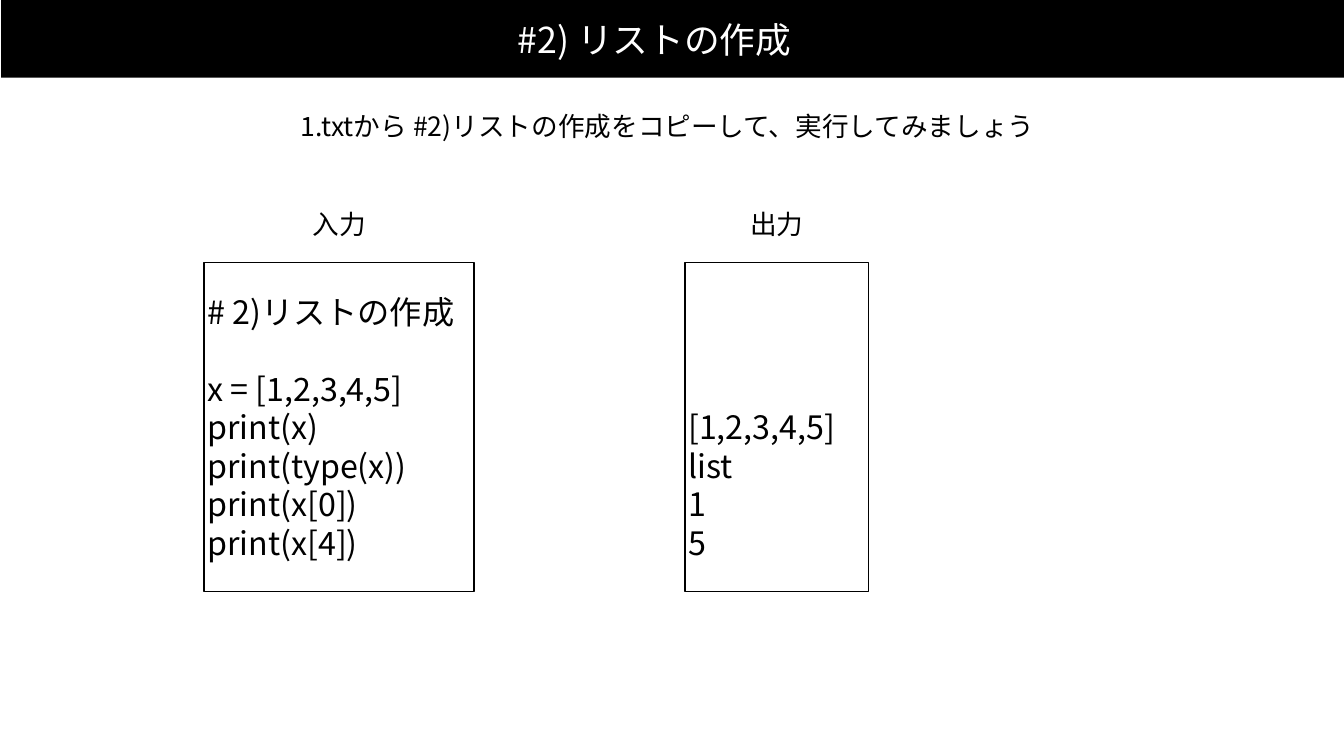
from lxml.etree import SubElement
from pptx import Presentation
from pptx.dml.color import RGBColor
from pptx.enum.shapes import MSO_SHAPE as SHAPE
from pptx.enum.text import MSO_ANCHOR as ANCHOR, PP_ALIGN as ALIGN
from pptx.oxml.ns import qn
from pptx.util import Pt

PX = 9525
WIDTH, HEIGHT = 2560, 1440
FONT = "Noto Sans CJK JP"
BLACK, WHITE = "000000", "FFFFFF"
INSET = 6
PANEL_TOP, PANEL_HEIGHT = 500, 627
LINE_PITCH = 55


def px(*values):
    return [round(v * PX) for v in values]


def color(value):
    return RGBColor.from_string(value)


def write(p, text, size=38, fill=BLACK, align=ALIGN.CENTER):
    p.alignment = align
    r = p.add_run()
    r.text = text
    r.font.size = Pt(size)
    r.font.name = FONT
    r.font.color.rgb = color(fill)
    SubElement(r.font._element, qn("a:ea"), typeface=FONT)


def set_frame(tf, anchor=ANCHOR.MIDDLE, wrap=False, bottom=INSET):
    tf.word_wrap = wrap
    tf.vertical_anchor = anchor
    tf.margin_left, tf.margin_top, tf.margin_right, tf.margin_bottom = px(
        INSET, INSET, INSET, bottom
    )


def add_rect(s, x, y, w, h, fill=None, line=None):
    sp = s.shapes.add_shape(SHAPE.RECTANGLE, *px(x, y, w, h))
    sp.shadow.inherit = False
    if fill:
        sp.fill.solid()
        sp.fill.fore_color.rgb = color(fill)
    else:
        sp.fill.background()
    if line:
        sp.line.color.rgb = color(line)
        sp.line.width = Pt(2)
    else:
        sp.line.fill.background()
    return sp


def add_label(s, text, x, y, w, h, **fmt):
    tf = s.shapes.add_textbox(*px(x, y, w, h)).text_frame
    set_frame(tf)
    write(tf.paragraphs[0], text, **fmt)


def add_panel(s, label, lines, x, w, gap_before=None):
    label_width = 140
    tf = add_rect(s, x, PANEL_TOP, w, PANEL_HEIGHT, line=BLACK).text_frame
    set_frame(tf, anchor=ANCHOR.BOTTOM, wrap=True, bottom=57)
    for i, text in enumerate(lines):
        p = tf.add_paragraph() if i else tf.paragraphs[0]
        p.line_spacing = Pt(LINE_PITCH)
        if i == gap_before:
            p.space_before = Pt(LINE_PITCH)
        write(p, text, size=46, align=ALIGN.LEFT)
    add_label(s, label, x + (w - label_width) / 2, 396, label_width, 61)


def main():
    prs = Presentation()
    prs.slide_width, prs.slide_height = px(WIDTH, HEIGHT)
    s = prs.slides.add_slide(prs.slide_layouts[6])

    add_rect(s, 2, -1, WIDTH, 149, fill=BLACK)
    add_label(s, "#2) リストの作成", 669, 35, 1155, 80, size=51, fill=WHITE)
    add_label(
        s, "1.txtから #2)リストの作成をコピーして、実行してみましょう", 540, 203, 1464, 72
    )

    code = [
        "# 2)リストの作成",
        "x = [1,2,3,4,5]",
        "print(x)",
        "print(type(x))",
        "print(x[0])",
        "print(x[4])",
    ]
    add_panel(s, "入力", code, 389, 514, gap_before=1)
    add_panel(s, "出力", ["[1,2,3,4,5]", "list", "1", "5"], 1305, 349)

    prs.save("out.pptx")


if __name__ == "__main__":
    main()
